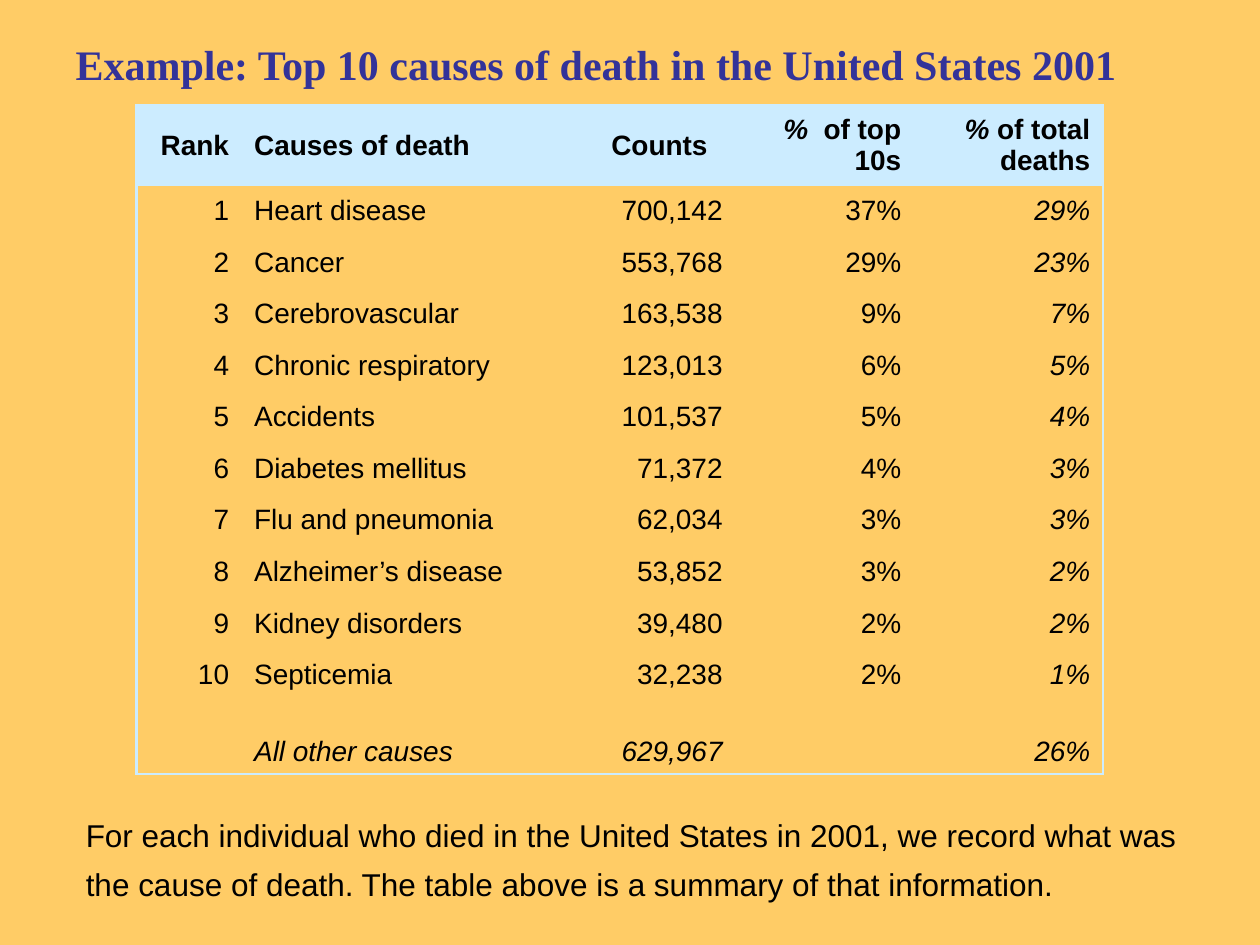
from dataclasses import dataclass

from lxml import etree
from pptx import Presentation
from pptx.dml.color import RGBColor
from pptx.enum import text as t
from pptx.oxml import ns
from pptx.util import Cm, Pt


@dataclass(frozen=True)
class Theme:
    back: str = "FFCC66"
    head: str = "333399"
    ink: str = "000000"
    pale: str = "CCECFF"
    serif: str = "Times New Roman"
    sans: str = "Arial"
    big: int = 24
    mid: int = 18
    small: int = 16
    rule: float = 1.5


THEME = Theme()
PLAIN = "{2D5ABB26-0587-4C30-8999-92F81FD0307C}"
WIDTHS = [2.12, 7.2, 2.75, 3.6, 3.81]
HEIGHTS = [1.63, 0.94] + [1.04] * 9 + [1.55]
LEFT, RIGHT = t.PP_ALIGN.LEFT, t.PP_ALIGN.RIGHT
ALIGNS = [RIGHT, LEFT, RIGHT, RIGHT, RIGHT]
HEADS = [["Rank"], ["Causes of death"], ["Counts"],
         ["%", "  of top 10s"], ["% ", "of total deaths"]]
CAUSES = [
    ("Heart disease", "700,142", "37%", "29%"),
    ("Cancer", "553,768", "29%", "23%"),
    ("Cerebrovascular", "163,538", "9%", "7%"),
    ("Chronic respiratory", "123,013", "6%", "5%"),
    ("Accidents", "101,537", "5%", "4%"),
    ("Diabetes mellitus", "71,372", "4%", "3%"),
    ("Flu and pneumonia", "62,034", "3%", "3%"),
    ("Alzheimer’s disease", "53,852", "3%", "2%"),
    ("Kidney disorders", "39,480", "2%", "2%"),
    ("Septicemia", "32,238", "2%", "1%"),
]
OTHERS = ("", "All other causes", "629,967", "", "26%")
NOTE = ("For each individual who died in the United States in 2001, "
        "we record what was the cause of death. "
        "The table above is a summary of that information.")


def style(font, face, size, color, bold=False, italic=False):
    font.name, font.size = face, Pt(size)
    font.bold, font.italic = bold, italic
    font.color.rgb = RGBColor.from_string(color)


def place(shape, left, top, width, height):
    shape.left, shape.top = Cm(left), Cm(top)
    shape.width, shape.height = Cm(width), Cm(height)


def add_title(slide, words):
    title = slide.shapes.title
    place(title, 1.27, 0.64, 22.86, 2.12)
    frame = title.text_frame
    frame.text = words
    frame.auto_size = t.MSO_AUTO_SIZE.NONE
    frame.vertical_anchor = t.MSO_ANCHOR.TOP
    para = frame.paragraphs[0]
    para.alignment = LEFT
    style(para.runs[0].font, THEME.serif, THEME.big, THEME.head, bold=True)


def add_note(slide, words):
    box = slide.shapes.add_textbox(Cm(1.48), Cm(16.09), Cm(22.86), Cm(2.23))
    frame = box.text_frame
    frame.word_wrap = True
    frame.auto_size = t.MSO_AUTO_SIZE.SHAPE_TO_FIT_TEXT
    frame.text = words
    para = frame.paragraphs[0]
    para.line_spacing = 1.3
    style(para.runs[0].font, THEME.sans, THEME.mid, THEME.ink)


def add_edge(cell, side):
    props = cell._tc.get_or_add_tcPr()
    line = etree.SubElement(props, ns.qn(f"a:ln{side}"), w=str(Pt(THEME.rule)))
    fill = etree.SubElement(line, ns.qn("a:solidFill"))
    etree.SubElement(fill, ns.qn("a:srgbClr"), val=THEME.pale)


def fill_cell(cell, parts, align, anchor, bold, slants):
    cell.vertical_anchor = anchor
    para = cell.text_frame.paragraphs[0]
    para.alignment = align
    props = para._p.get_or_add_pPr()
    props.set("marL", str(Cm(0.97)))
    props.set("indent", str(Cm(-0.97)))
    for part, slant in zip(parts, slants):
        if part:
            run = para.add_run()
            run.text = part
            style(run.font, THEME.sans, THEME.small, THEME.ink, bold, slant)


def add_grid(slide):
    rows, cols = len(HEIGHTS), len(WIDTHS)
    frame = slide.shapes.add_table(rows, cols, Cm(2.75), Cm(2.12),
                                   Cm(sum(WIDTHS)), Cm(sum(HEIGHTS)))
    grid = frame.table
    grid.first_row = grid.horz_banding = False
    grid._tbl.tblPr.find(ns.qn("a:tableStyleId")).text = PLAIN
    for col, width in zip(grid.columns, WIDTHS):
        col.width = Cm(width)
    for row, height in zip(grid.rows, HEIGHTS):
        row.height = Cm(height)

    ranked = [(str(n), *cause) for n, cause in enumerate(CAUSES, 1)]
    for r, row in enumerate([HEADS, *ranked, OTHERS]):
        for c, value in enumerate(row):
            cell = grid.cell(r, c)
            edges = {"L": c == 0, "R": c == cols - 1,
                     "T": r == 0, "B": r == rows - 1}
            for side in (s for s, shown in edges.items() if shown):
                add_edge(cell, side)
            if r == 0:
                align = LEFT if c == 2 else ALIGNS[c]
                fill_cell(cell, value, align, t.MSO_ANCHOR.MIDDLE, True,
                          [len(value) > 1, False])
                cell.fill.solid()
                cell.fill.fore_color.rgb = RGBColor.from_string(THEME.pale)
            else:
                slant = c == cols - 1 or r == rows - 1
                fill_cell(cell, [value], ALIGNS[c], t.MSO_ANCHOR.BOTTOM,
                          False, [slant])
                cell.fill.background()


def main():
    deck = Presentation()
    deck.slide_width, deck.slide_height = Cm(25.4), Cm(19.05)
    slide = deck.slides.add_slide(deck.slide_layouts[5])
    back = slide.background.fill
    back.solid()
    back.fore_color.rgb = RGBColor.from_string(THEME.back)
    add_title(slide, "Example: Top 10 causes of death in the United States 2001")
    add_grid(slide)
    add_note(slide, NOTE)
    deck.save("out.pptx")


if __name__ == "__main__":
    main()
